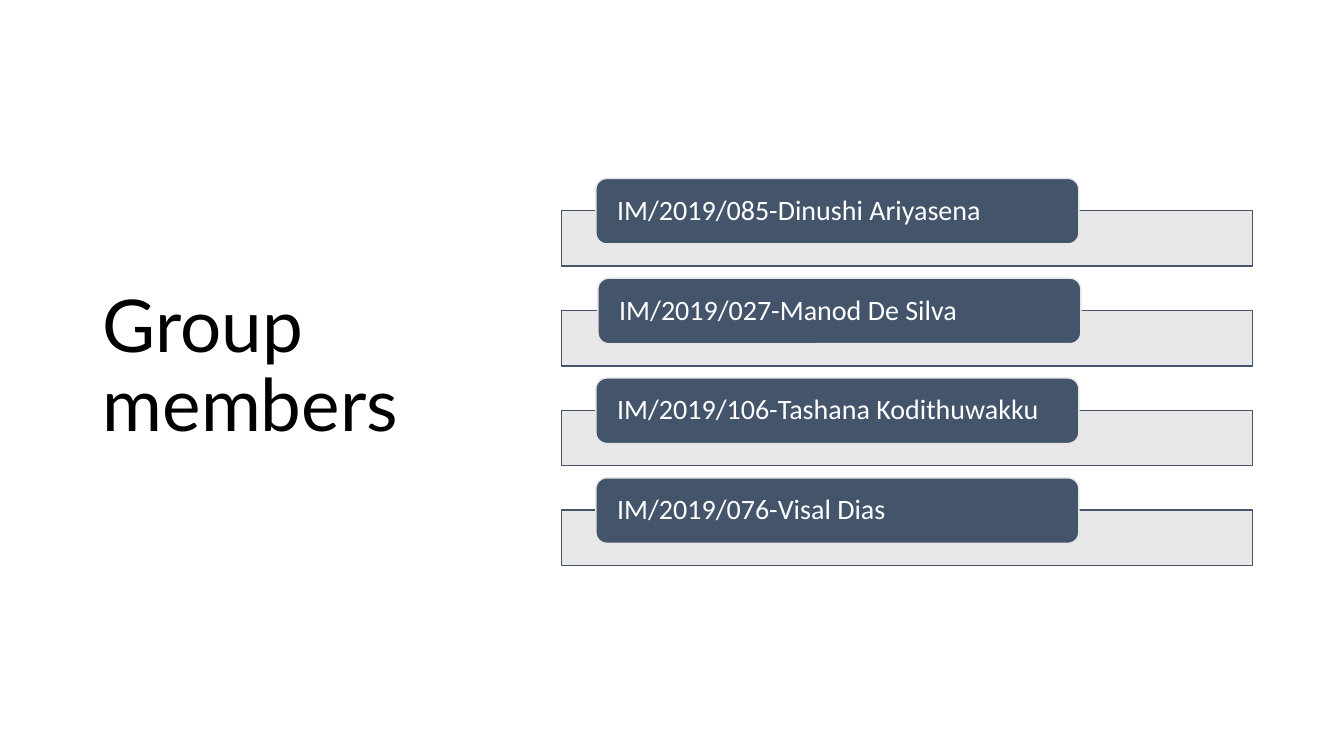
from lxml.etree import SubElement
from pptx import Presentation
from pptx.dml.color import RGBColor
from pptx.enum.shapes import MSO_SHAPE
from pptx.enum.text import MSO_ANCHOR, MSO_AUTO_SIZE, PP_ALIGN
from pptx.oxml.ns import qn
from pptx.util import Pt

PX = 9144  # 100 px to the inch
BLACK = RGBColor(0x00, 0x00, 0x00)
WHITE = RGBColor(0xFF, 0xFF, 0xFF)
SLATE = RGBColor(0x44, 0x54, 0x6A)
PALE_GRAY = RGBColor(0xE7, 0xE6, 0xE6)

ROW_TOP, ROW_PITCH = 209, 99
LABEL_RISE = 32
MEMBERS = [
    ("IM/2019/085-Dinushi Ariyasena", 591),
    ("IM/2019/027-Manod De Silva", 593),
    ("IM/2019/106-Tashana Kodithuwakku", 591),
    ("IM/2019/076-Visal Dias", 591),
]


def write_text(shape, text, *, font, size, color, inset):
    frame = shape.text_frame
    frame.word_wrap = True
    frame.auto_size = MSO_AUTO_SIZE.NONE
    frame.vertical_anchor = MSO_ANCHOR.MIDDLE
    frame.margin_left = frame.margin_right = inset * PX
    frame.margin_top = frame.margin_bottom = 0
    para = frame.paragraphs[0]
    para.alignment = PP_ALIGN.LEFT
    para.line_spacing = 0.9
    span = para.add_run()
    span.text = text
    span.font.name = font
    span.font.size = Pt(size)
    span.font.color.rgb = color


def add_box(kind, left, top, width, height, *, fill, line):
    box = slide.shapes.add_shape(kind, left * PX, top * PX, width * PX, height * PX)
    box.shadow.inherit = False
    box.fill.solid()
    box.fill.fore_color.rgb = fill
    box.line.color.rgb = line
    box.line.width = Pt(1)
    return box


deck = Presentation()
deck.slide_width, deck.slide_height = 1333 * PX, 750 * PX
slide = deck.slides.add_slide(deck.slide_layouts[5])

title = slide.shapes.title
title.left, title.top, title.width, title.height = 92 * PX, 61 * PX, 369 * PX, 609 * PX
write_text(title, "Group members", font="Lato", size=52, color=BLACK, inset=10)

for row, (member, label_left) in enumerate(MEMBERS):
    top = ROW_TOP + row * ROW_PITCH
    bar = add_box(MSO_SHAPE.RECTANGLE, 557, top, 685, 55, fill=PALE_GRAY, line=SLATE)
    bar_color = bar.fill._xPr.find(qn("a:solidFill"))[0]
    SubElement(bar_color, qn("a:alpha"), val="90000")
    label = add_box(MSO_SHAPE.ROUNDED_RECTANGLE, label_left, top - LABEL_RISE, 479, 65,
                    fill=SLATE, line=PALE_GRAY)
    write_text(label, member, font="Calibri", size=20, color=WHITE, inset=18)

deck.save("out.pptx")
